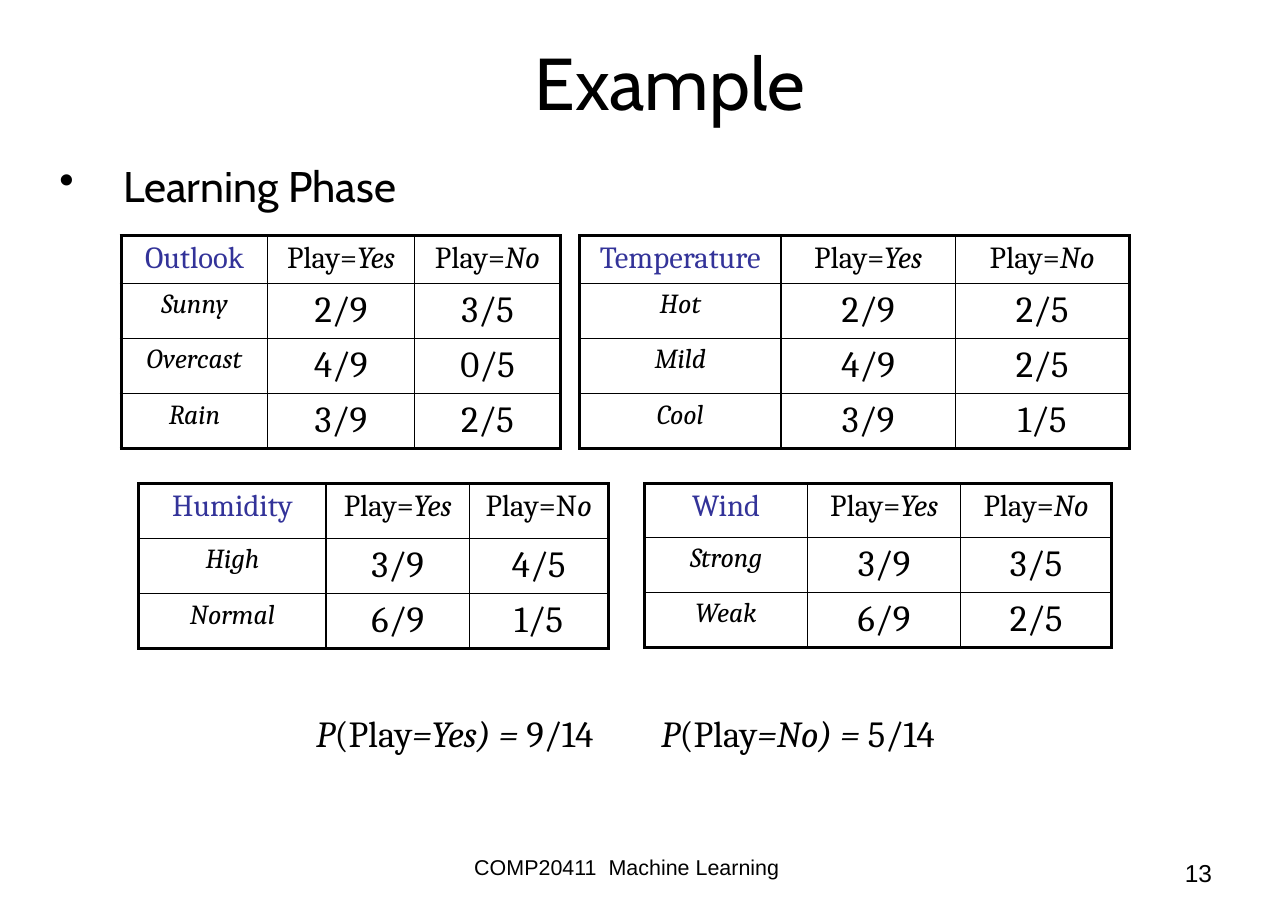
from dataclasses import dataclass

from lxml import etree
from pptx import Presentation
from pptx.dml.color import RGBColor
from pptx.enum import text
from pptx.oxml import ns
from pptx.util import Inches, Pt


@dataclass(frozen=True)
class Theme:
    ink: str = "000000"
    accent: str = "333399"
    heading_font: str = "Cabin"
    body_font: str = "Cambria"
    footer_font: str = "Arial"
    title: int = 48
    bullet: int = 28
    value: int = 24
    header: int = 20
    label: int = 18
    page: int = 16
    footer: int = 14
    outer: float = 2.25
    inner: float = 1


T = Theme()
ALIGN = text.PP_ALIGN
YES, NO = "Play=*Yes*", "Play=*No*"
TABLES = [
    (1.1, 2.14, [1.33, 1.33, 1.33], [0.42, 0.48, 0.48, 0.48], [
        ["Outlook", YES, NO],
        ["*Sunny*", "2/9", "3/5"],
        ["*Overcast*", "4/9", "0/5"],
        ["*Rain*", "3/9", "2/5"]]),
    (5.26, 2.14, [1.83, 1.58, 1.58], [0.42, 0.48, 0.48, 0.48], [
        ["Temperature", YES, NO],
        ["*Hot*", "2/9", "2/5"],
        ["*Mild*", "4/9", "2/5"],
        ["*Cool*", "3/9", "1/5"]]),
    (1.26, 4.39, [1.7, 1.3, 1.26], [0.5, 0.5, 0.5], [
        ["Humidity", YES, "Play=N*o*"],
        ["*High*", "3/9", "4/5"],
        ["*Normal*", "6/9", "1/5"]]),
    (5.85, 4.39, [1.48, 1.39, 1.37], [0.49, 0.48, 0.48], [
        ["Wind", YES, NO],
        ["*Strong*", "3/9", "3/5"],
        ["*Weak*", "6/9", "2/5"]]),
]


def write(p, content, size, font, color=T.ink, align=ALIGN.LEFT):
    p.alignment = align
    p.font.size, p.font.name = Pt(size), font
    p.font.color.rgb = RGBColor.from_string(color)
    for i, part in enumerate(content.split("*")):
        if part:
            r = p.add_run()
            r.text = part
            if i % 2:
                r.font.italic = True


def add_text(s, box, content, size, font, align=ALIGN.LEFT,
             anchor=text.MSO_ANCHOR.TOP, wrap=True):
    tf = s.shapes.add_textbox(*map(Inches, box)).text_frame
    tf.word_wrap, tf.vertical_anchor = wrap, anchor
    tf.margin_left = tf.margin_right = Inches(0.11)
    tf.margin_top = tf.margin_bottom = Inches(0.06)
    p = tf.paragraphs[0]
    write(p, content, size, font, align=align)
    return p


def add_bullet(s, box, content):
    p = add_text(s, box, "", T.bullet, T.heading_font)
    p.line_spacing = 1.2
    pPr = p._p.get_or_add_pPr()
    pPr.set("marL", str(Inches(0.58)))
    pPr.set("indent", str(-Inches(0.58)))
    bullet = etree.Element(ns.qn("a:buChar"), char="•")
    pPr.find(ns.qn("a:defRPr")).addprevious(bullet)
    write(p, content, T.bullet, T.heading_font)


def set_borders(cell, edges):
    tcPr = cell._tc.get_or_add_tcPr()
    for side, is_outer in edges.items():
        width = Pt(T.outer if is_outer else T.inner)
        ln = etree.SubElement(tcPr, ns.qn("a:ln" + side), w=str(width))
        fill = etree.SubElement(ln, ns.qn("a:solidFill"))
        etree.SubElement(fill, ns.qn("a:srgbClr"), val=T.ink)


def add_probability_table(s, left, top, widths, heights, rows):
    table = s.shapes.add_table(
        len(rows), len(widths), Inches(left), Inches(top),
        Inches(sum(widths)), Inches(sum(heights))).table
    table.horz_banding = table.first_row = False
    for col, width in zip(table.columns, widths):
        col.width = Inches(width)
    for row, height in zip(table.rows, heights):
        row.height = Inches(height)
    for i, row in enumerate(rows):
        for j, content in enumerate(row):
            cell = table.cell(i, j)
            size = T.header if i == 0 else T.label if j == 0 else T.value
            color = T.accent if i == j == 0 else T.ink
            write(cell.text_frame.paragraphs[0], content, size,
                  T.body_font, color, ALIGN.CENTER)
            set_borders(cell, {"L": j == 0, "R": j == len(row) - 1,
                               "T": i == 0, "B": i == len(rows) - 1})
            cell.fill.background()


def main():
    prs = Presentation()
    prs.slide_width, prs.slide_height = Inches(11.69), Inches(8.27)
    s = prs.slides.add_slide(prs.slide_layouts[6])
    add_text(s, (3.01, 7.69, 5.36, 0.57), "COMP20411  Machine Learning",
             T.footer, T.footer_font, ALIGN.CENTER)
    add_text(s, (8.38, 7.73, 2.73, 0.57), "13",
             T.page, T.footer_font, ALIGN.RIGHT)
    add_text(s, (0.51, 0.05, 11.18, 1.38), "Example\t", T.title,
             T.heading_font, ALIGN.CENTER, text.MSO_ANCHOR.MIDDLE)
    add_bullet(s, (0.43, 1.3, 11.08, 6.33), "Learning Phase")
    for spec_row in TABLES:
        add_probability_table(s, *spec_row)
    for left, width, content in [(2.76, 2.87, "*P*(Play*=Yes) = *9/14"),
                                 (5.89, 2.79, "*P*(Play*=No) = *5/14")]:
        add_text(s, (left, 6.39, width, 0.5), content,
                 T.value, T.body_font, wrap=False)
    prs.save("out.pptx")


if __name__ == "__main__":
    main()
